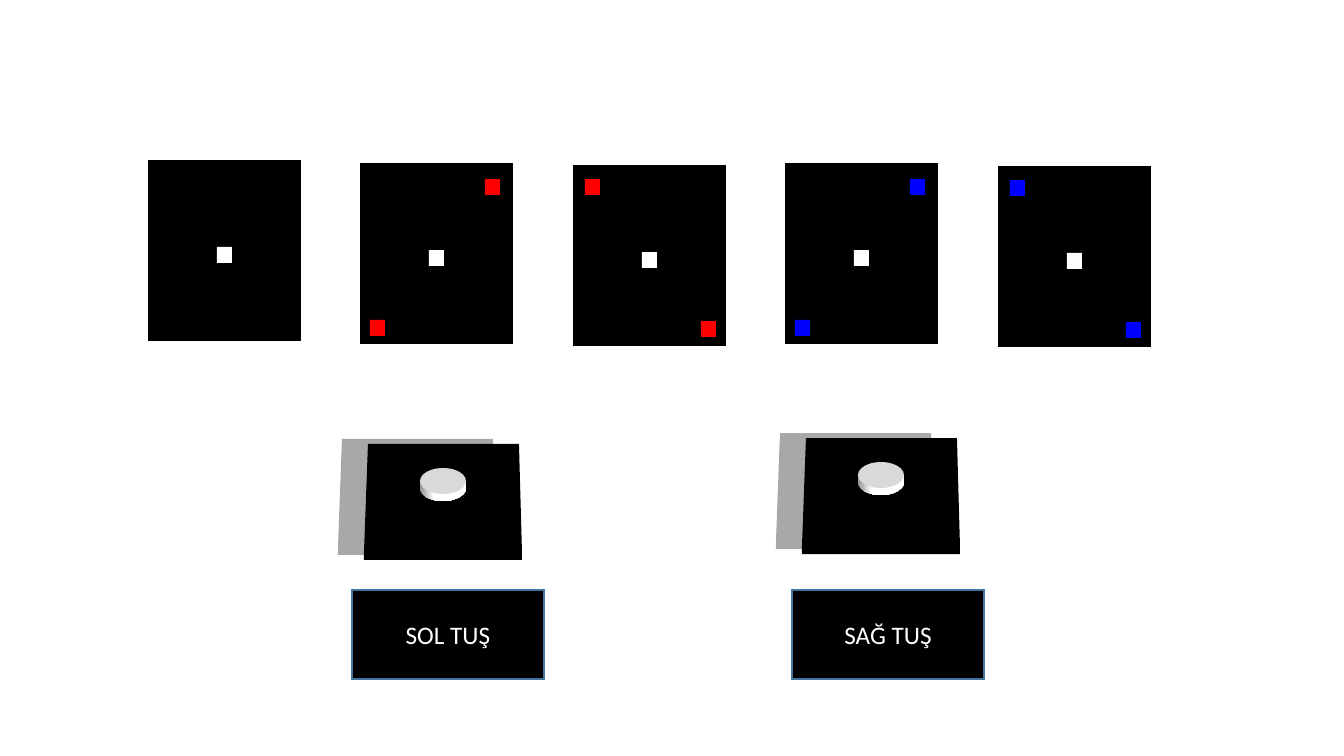
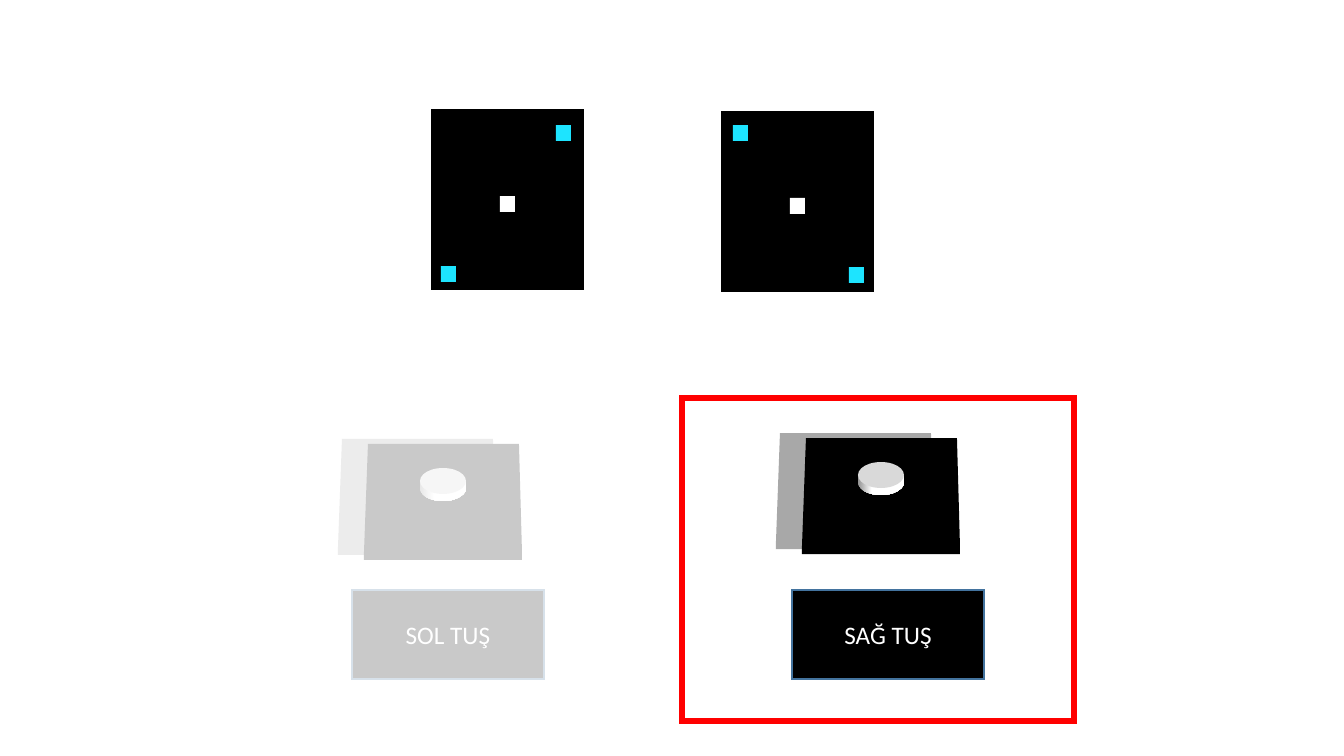
"""Builds two slides showing stimulus cards and the left and right answer keys."""
from math import cos, pi, sin

from lxml.etree import SubElement
from pptx import Presentation
from pptx.dml.color import RGBColor
from pptx.enum.shapes import MSO_SHAPE
from pptx.enum.text import MSO_ANCHOR, PP_ALIGN
from pptx.oxml.ns import qn
from pptx.util import Emu, Pt

EMU_PER_PX = 914400 / 100.8

BLACK = RGBColor(0x00, 0x00, 0x00)
WHITE = RGBColor(0xFF, 0xFF, 0xFF)
RED = RGBColor(0xFF, 0x00, 0x00)
BLUE = RGBColor(0x00, 0x00, 0xFF)
CYAN = RGBColor(0x1D, 0xE4, 0xFF)
STEEL = RGBColor(0x43, 0x73, 0x9E)
SHADOW = RGBColor(0xA8, 0xA8, 0xA8)
CAP = RGBColor(0xD9, 0xD9, 0xD9)
CAP_EDGE = RGBColor(0x90, 0x90, 0x90)

CARD_W, CARD_H = 151, 179
DOT_W, DOT_H = 15, 16
CENTRE = (68, 86)
RISING = ((9, 156), (124, 15))
FALLING = ((11, 13), (127, 155))

BOARD = ((4, 0), (155, 0), (158, 108), (158, 116), (0, 116), (0, 108))
BOARD_SHADOW_OFFSET = (-26, -5)
CAP_X, CAP_Y, CAP_RX, CAP_RY, CAP_DEPTH = 79, 37, 23, 13, 7

LABEL_FONT = {"name": "Calibri", "size": Pt(18)}
KEYS = (("SOL TUŞ", 364, 444, 352), ("SAĞ TUŞ", 802, 438, 792))


def px(value):
    """Turn pixels into EMU."""
    return Emu(round(value * EMU_PER_PX))


class Deck:
    """Holds the presentation, the shared style and the current slide."""

    def __init__(self):
        """Start an empty wide presentation."""
        self.prs = Presentation()
        self.prs.slide_width, self.prs.slide_height = px(1344), px(756)
        self.s = None

    def slide(self):
        """Start a new blank slide."""
        self.s = self.prs.slides.add_slide(self.prs.slide_layouts[6])

    def paint(self, sp, fill=None, line=None, width=1):
        """Set fill and outline, and remove the shadow."""
        sp.shadow.inherit = False
        if fill is None:
            sp.fill.background()
        else:
            sp.fill.solid()
            sp.fill.fore_color.rgb = fill
        if line is None:
            sp.line.fill.background()
        else:
            sp.line.color.rgb = line
            sp.line.width = Pt(width)
            SubElement(sp.element.spPr.find(qn("a:ln")), qn("a:miter"), lim="800000")
        return sp

    def box(self, x, y, w, h, parent=None, shape=MSO_SHAPE.RECTANGLE, **style):
        """Add a preset shape to the slide or to a group."""
        shapes = (parent or self.s).shapes
        return self.paint(shapes.add_shape(shape, px(x), px(y), px(w), px(h)), **style)

    def outline(self, x, y, points, parent, **style):
        """Add a closed polygon whose points are relative to x and y."""
        points = [(px(x + dx), px(y + dy)) for dx, dy in points]
        builder = parent.shapes.build_freeform(*points[0], scale=1.0)
        builder.add_line_segments(points[1:], close=True)
        return self.paint(builder.convert_to_shape(), **style)

    def card(self, x, y, corners=(), color=WHITE):
        """Add a black card with a white centre and coloured corner dots."""
        group = self.s.shapes.add_group_shape()
        self.box(x, y, CARD_W, CARD_H, group, fill=BLACK, line=BLACK)
        dots = [(CENTRE, WHITE)] + [(corner, color) for corner in corners]
        for (dx, dy), fill in dots:
            self.box(x + dx, y + dy, DOT_W, DOT_H, group, fill=fill)

    def button(self, x, y):
        """Add a tilted black board with a round push button."""
        group = self.s.shapes.add_group_shape()
        dx, dy = BOARD_SHADOW_OFFSET
        self.outline(x + dx, y + dy, BOARD, group, fill=SHADOW)
        self.outline(x, y, BOARD, group, fill=BLACK)
        arc = [(CAP_RX * cos(pi * i / 24), CAP_RY * sin(pi * i / 24) + CAP_DEPTH)
               for i in range(25)]
        rim = [(CAP_RX, 0), *arc, (-CAP_RX, 0)]
        side = self.outline(x + CAP_X, y + CAP_Y, rim, group, fill=WHITE)
        side.fill.gradient()
        side.fill.gradient_angle = 0
        stops = ((0, CAP_EDGE), (0.3, WHITE))
        for stop, (position, color) in zip(side.fill.gradient_stops, stops):
            stop.position = position
            stop.color.rgb = color
        self.box(x + CAP_X - CAP_RX, y + CAP_Y - CAP_RY, 2 * CAP_RX, 2 * CAP_RY,
                 group, MSO_SHAPE.OVAL, fill=CAP)

    def label(self, text, x, y):
        """Add a black key label with centred white text."""
        tf = self.box(x, y, 192, 89, fill=BLACK, line=STEEL).text_frame
        tf.word_wrap = True
        tf.vertical_anchor = MSO_ANCHOR.MIDDLE
        p = tf.paragraphs[0]
        p.alignment = PP_ALIGN.CENTER
        r = p.add_run()
        r.text = text
        for name, value in LABEL_FONT.items():
            setattr(r.font, name, value)
        r.font.color.rgb = WHITE

    def keys(self):
        """Add both answer keys with their labels."""
        for text, button_x, button_y, label_x in KEYS:
            self.button(button_x, button_y)
            self.label(text, label_x, 590)

    def veil(self, x, y, w, h, opacity):
        """Add a translucent white cover."""
        sp = self.box(x, y, w, h, fill=WHITE)
        color = sp.element.spPr.find(qn("a:solidFill")).find(qn("a:srgbClr"))
        SubElement(color, qn("a:alpha"), val=str(opacity * 1000))


def main():
    """Build both slides and save them."""
    deck = Deck()

    deck.slide()
    cards = ((161, (), WHITE), (164, RISING, RED), (166, FALLING, RED),
             (164, RISING, BLUE), (167, FALLING, BLUE))
    for i, (y, corners, color) in enumerate(cards):
        deck.card(149 + i * 425 // 2, y, corners, color)
    deck.keys()

    deck.slide()
    deck.keys()
    deck.box(682, 398, 392, 323, line=RED, width=4.5)
    deck.veil(232, 398, 372, 335, 79)
    deck.card(432, 110, RISING, CYAN)
    deck.card(722, 112, FALLING, CYAN)

    deck.prs.save("out.pptx")


if __name__ == "__main__":
    main()
